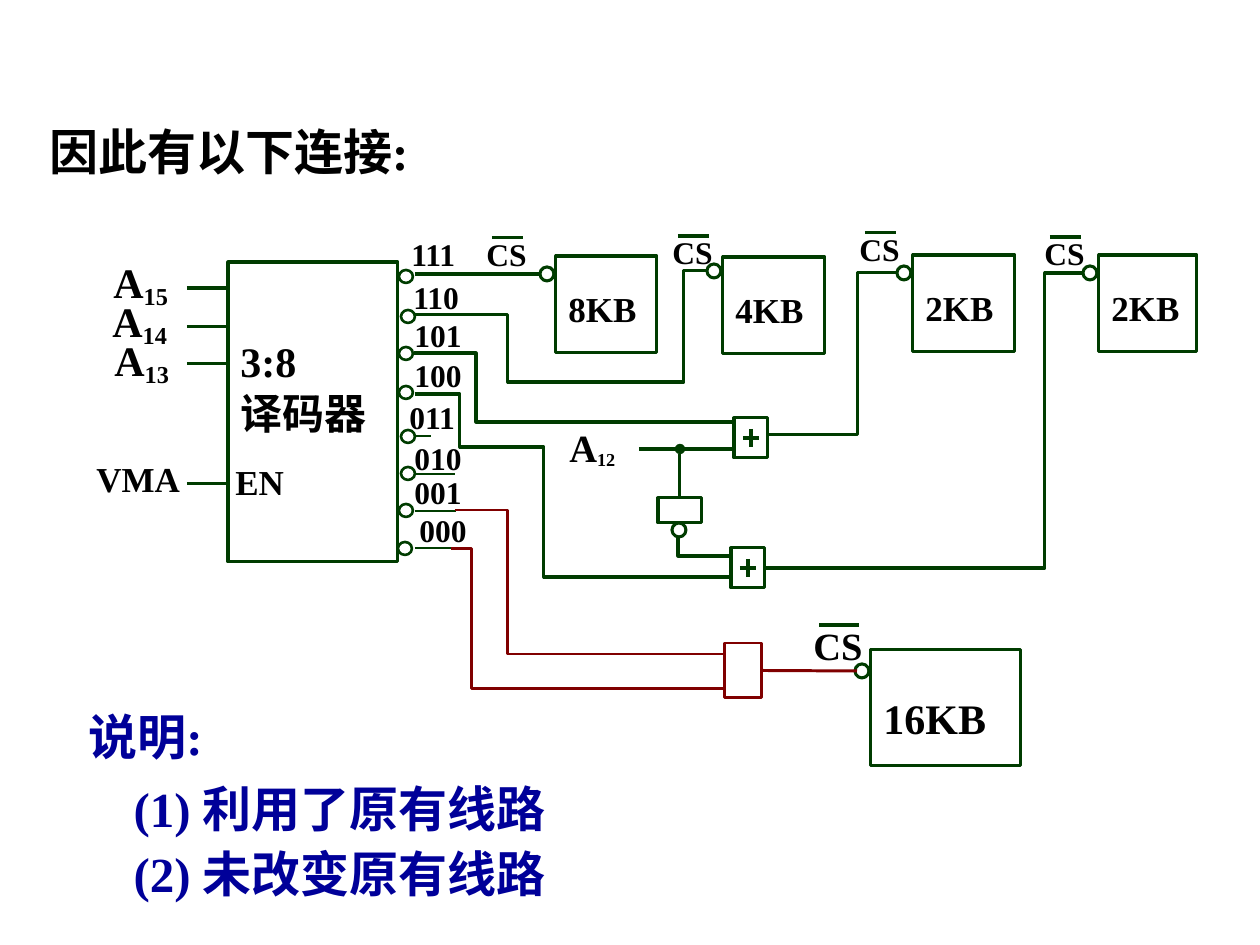
from pptx import Presentation
from pptx.dml.color import RGBColor
from pptx.enum.shapes import MSO_CONNECTOR, MSO_SHAPE
from pptx.enum.text import MSO_ANCHOR, MSO_AUTO_SIZE, PP_ALIGN
from pptx.oxml.ns import qn
from pptx.util import Inches, Pt

RECT, OVAL = MSO_SHAPE.RECTANGLE, MSO_SHAPE.OVAL
STRAIGHT = MSO_CONNECTOR.STRAIGHT
TOP, NO_FIT, LEFT = MSO_ANCHOR.TOP, MSO_AUTO_SIZE.NONE, PP_ALIGN.LEFT
SIDE_TOP, SIDE_RIGHT = 0, 3

PX = 914400 / 126
FONT = "Times New Roman"
BLACK, GREEN, RED, BLUE = "000000", "003C00", "800000", "000099"

# Content, all lengths in px
HEADING = "因此有以下连接:"
REMARKS_HEADING = "说明:"
REMARKS = ["(1) 利用了原有线路", "(2) 未改变原有线路"]

DECODER = (228, 262, 170, 300)
DECODER_NAME = ["3:8", "译码器"]
ADDRESS_INPUTS = [  # subscript, label position, wire height
    ("15", 101, 251, 288),
    ("14", 100, 290, 327),
    ("13", 102, 329, 364),
]
ENABLE_Y = 484

OUTPUTS = [  # code, label position, bubble position
    ("111", 399, 229, 399, 270),
    ("110", 401, 272, 401, 310),
    ("101", 402, 310, 399, 347),
    ("100", 402, 350, 399, 386),
    ("011", 397, 392, 401, 430),
    ("010", 402, 433, 401, 467),
    ("001", 402, 467, 399, 504),
    ("000", 407, 505, 398, 542),
]
STUBS = [  # right end and height of the short output wires
    (431, 436), (455, 474), (456, 511), (456, 548),
]

CHIPS = [  # capacity, size, text inset, box, bubble top, CS label, CS size, bar
    ("8KB", 20, 31, (556, 256, 101, 97), 267, (474, 229), 18, 31),
    ("4KB", 20, 31, (723, 257, 102, 97), 264, (660, 227), 18, 31),
    ("2KB", 20, 31, (913, 255, 102, 97), 266, (847, 224), 18, 31),
    ("2KB", 20, 31, (1099, 255, 98, 97), 266, (1032, 228), 18, 31),
    ("16KB", 24, 43, (871, 650, 150, 116), 664, (801, 616), 22, 40),
]

PLUS_GATES = [(734, 418, 34, 40), (731, 548, 34, 40)]
INVERTER = (658, 498, 44, 25)
MERGE_GATE = (725, 643, 37, 55)

GREEN_WIRES = [
    [(415, 274), (539, 274)],
    [(415, 315), (508, 315), (508, 382), (684, 382), (684, 271), (707, 271)],
    [(414, 353), (476, 353), (476, 422), (734, 422)],
    [(415, 394), (460, 394), (460, 447), (544, 447), (544, 577), (731, 577)],
    [(639, 449), (734, 449)],
    [(768, 435), (858, 435), (858, 273), (897, 273)],
    [(678, 537), (678, 556), (731, 556)],
    [(765, 568), (1045, 568), (1045, 273), (1084, 273)],
]
RED_WIRES = [
    [(455, 510), (508, 510), (508, 654), (725, 654)],
    [(451, 549), (471, 549), (471, 689), (725, 689)],
]


def emu(*lengths):
    return [round(length * PX) for length in lengths]


def color(hex_value):
    return RGBColor.from_string(hex_value)


def write(frame, paragraphs, hue=BLACK, gap=0, inset_top=6):
    """Each paragraph is a list of (text, size, baseline in percent)."""
    frame.word_wrap = True
    frame.auto_size = NO_FIT
    frame.vertical_anchor = TOP
    frame.margin_left = frame.margin_right = Inches(0.1)
    frame.margin_top = emu(inset_top)[0]
    for i, runs in enumerate(paragraphs):
        paragraph = frame.add_paragraph() if i else frame.paragraphs[0]
        paragraph.alignment = LEFT
        paragraph.space_before = Pt(gap)
        for text, size, baseline in runs:
            run = paragraph.add_run()
            run.text = text
            run.font.name, run.font.size, run.font.bold = FONT, Pt(size), True
            run.font.color.rgb = color(hue)
            if baseline:
                run._r.get_or_add_rPr().set("baseline", str(baseline * 1000))


def label(box, *runs, hue=BLACK):
    write(slide.shapes.add_textbox(*emu(*box)).text_frame, [runs], hue)


def outline(shape, hue, width):
    shape.line.color.rgb = color(hue)
    shape.line.width = Pt(width)


def block(kind, box, hue=GREEN, width=1.75):
    shape = slide.shapes.add_shape(kind, *emu(*box))
    shape.shadow.inherit = False
    shape.fill.background()
    outline(shape, hue, width)
    return shape


def wire(points, hue=GREEN, width=1.75):
    if len(points) == 2:
        link = slide.shapes.add_connector(STRAIGHT, *emu(*points[0], *points[1]))
        properties = link._element.spPr
        outline(link, hue, width)
        properties.append(properties.makeelement(qn("a:effectLst"), {}))
        return link
    builder = slide.shapes.build_freeform(*points[0], scale=PX)
    builder.add_line_segments(points[1:], close=False)
    path_shape = builder.convert_to_shape()
    path_shape.shadow.inherit = False
    path_shape.fill.background()
    outline(path_shape, hue, width)
    return path_shape


deck = Presentation()
deck.slide_width, deck.slide_height = Inches(10), Inches(7.5)
slide = deck.slides.add_slide(deck.slide_layouts[1])

# Heading and remarks
heading, remarks = slide.shapes.title, slide.placeholders[1]
for holder, box in ((heading, (37, 116, 437, 72)), (remarks, (121, 772, 499, 139))):
    holder.left, holder.top, holder.width, holder.height = emu(*box)
write(heading.text_frame, [[(HEADING, 28, 0)]])
write(remarks.text_frame, [[(remark, 28, 0)] for remark in REMARKS], BLUE, gap=4)
for item in remarks.text_frame.paragraphs:
    item_format = item._p.get_or_add_pPr()
    item_format.set("marL", "0")
    item_format.set("indent", "0")
    item_format.append(item_format.makeelement(qn("a:buNone"), {}))
label((76, 700, 193, 72), (REMARKS_HEADING, 28, 0), hue=BLUE)

# Decoder and its inputs
decoder = block(RECT, DECODER)
write(decoder.text_frame, [[(line, 24, 0)] for line in DECODER_NAME],
      gap=1, inset_top=73)
for number, x, y, wire_y in ADDRESS_INPUTS:
    label((x, y, 91, 63), ("A", 24, 0), (number, 24, -16))
    wire([(187, wire_y), (DECODER[0], wire_y)])
label((84, 451, 152, 54), ("VMA", 20, 0))
wire([(187, ENABLE_Y), (DECODER[0], ENABLE_Y)])
label((223, 454, 93, 54), ("EN", 20, 0))

# Decoder outputs
for code, x, y, bubble_x, bubble_y in OUTPUTS:
    label((x, y, 76, 50), (code, 18, 0))
    block(OVAL, (bubble_x, bubble_y, 14, 13), width=1.5)
for end_x, y in STUBS:
    wire([(415, y), (end_x, y)], width=1.5)

# Memory chips with their chip-select inputs
for capacity, size, inset, box, bubble_y, (x, y), cs_size, bar in CHIPS:
    chip = block(RECT, box)
    write(chip.text_frame, [[(capacity, size, 0)]], inset_top=inset)
    block(OVAL, (box[0] - 16, bubble_y, 14, 14))
    label((x, y, 92, 55), ("CS", cs_size, 0))
    wire([(x + 18, y + 9), (x + 18 + bar, y + 9)])

# Gates
for gate in PLUS_GATES:
    block(RECT, gate)
    center_x, center_y = gate[0] + gate[2] / 2, gate[1] + gate[3] / 2
    wire([(center_x - 8, center_y), (center_x + 8, center_y)])
    wire([(center_x, center_y - 9), (center_x, center_y + 9)])
label((557, 418, 91, 59), ("A", 22, 0), ("12", 18, -12))
inverter = block(RECT, INVERTER)
block(OVAL, (672, 523, 14, 14))
merge_gate = block(RECT, MERGE_GATE, RED, 1.7)

# Wires
for points in GREEN_WIRES:
    wire(points)
for points in RED_WIRES:
    wire(points, RED, 1.7)

tap = wire([(680, 449), (680, 498)])
tap.end_connect(inverter, SIDE_TOP)
tap_line = tap._element.spPr.find(qn("a:ln"))
tap_line.append(tap_line.makeelement(qn("a:headEnd"), {"type": "oval"}))

select = wire([(762, 671), (857, 671)], RED, 1.7)
select.begin_connect(merge_gate, SIDE_RIGHT)

deck.save("out.pptx")
